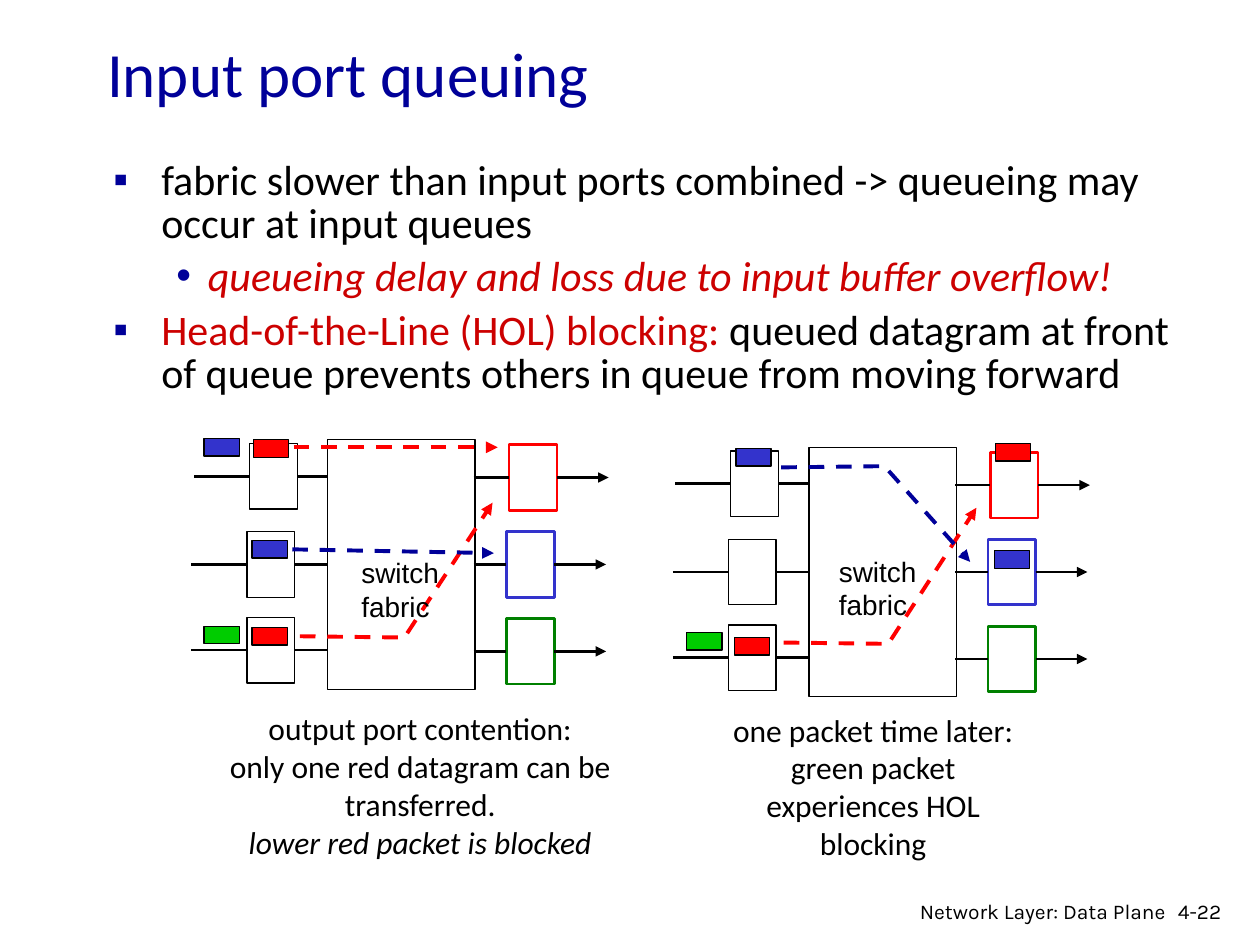
import dataclasses

import lxml.etree
import pptx
import pptx.dml.color
import pptx.enum.dml
import pptx.enum.shapes
import pptx.enum.text
import pptx.oxml.ns
import pptx.util

ALIGN = pptx.enum.text.PP_ALIGN
KIND = pptx.enum.shapes.MSO_SHAPE
SIDE_LEFT, SIDE_RIGHT = 1, 3
SCALE = 9144  # EMU in one px, 100 px to the inch


@dataclasses.dataclass(frozen=True)
class Theme:
    black: str = "000000"
    white: str = "FFFFFF"
    navy: str = "000099"
    alert: str = "CC0000"
    red: str = "FF0000"
    blue: str = "3333CC"
    green: str = "00CC00"
    dark_green: str = "008000"
    main: str = "Calibri"
    label: str = "Arial"
    foot: str = "Karla"
    title_size: int = 36
    body_size: int = 24
    note_size: int = 18
    label_size: int = 16
    foot_size: int = 12
    thin: float = 0.75
    wire: float = 1.5
    flow: float = 2.25


THEME = Theme()


def px(*values):
    return [pptx.util.Emu(value * SCALE) for value in values]


def rgb(code):
    return pptx.dml.color.RGBColor.from_string(code)


def add_tag(parent, name, **values):
    return lxml.etree.SubElement(parent, pptx.oxml.ns.qn(name), **values)


def write(para, text, size, font=THEME.main, color=THEME.black, italic=False):
    for count, line in enumerate(text.split("\n")):
        if count:
            para.add_line_break()
        run = para.add_run()
        run.text = line
        run.font.size = pptx.util.Pt(size)
        run.font.name = font
        run.font.color.rgb = rgb(color)
        run.font.italic = italic


def add_text(shapes, box, paras, align=ALIGN.LEFT, **style):
    """Each paragraph is a list of (text, italic) runs."""
    frame = shapes.add_textbox(*px(*box)).text_frame
    frame.word_wrap = True
    for count, runs in enumerate(paras):
        para = frame.add_paragraph() if count else frame.paragraphs[0]
        para.alignment = align
        for text, italic in runs:
            write(para, text, italic=italic, **style)


def add_rect(shapes, box, fill, edge=THEME.black, width=THEME.thin):
    rect = shapes.add_shape(KIND.RECTANGLE, *px(*box))
    rect.shadow.inherit = False
    rect.fill.solid()
    rect.fill.fore_color.rgb = rgb(fill)
    rect.line.color.rgb = rgb(edge)
    rect.line.width = pptx.util.Pt(width)
    return rect


def draw_line(shapes, points, color=THEME.black, width=THEME.wire,
              dash=False, arrow=False):
    """Two points give a connector, more give an open outline."""
    if len(points) == 2:
        shape = shapes.add_connector(
            pptx.enum.shapes.MSO_CONNECTOR.STRAIGHT, *px(*points[0], *points[1]))
    else:
        first, *rest = [px(*point) for point in points]
        pen = shapes.build_freeform(*first)
        pen.add_line_segments(rest, close=False)
        shape = pen.convert_to_shape()
        shape.fill.background()
    shape.line.color.rgb = rgb(color)
    shape.line.width = pptx.util.Pt(width)
    if dash:
        shape.line.dash_style = pptx.enum.dml.MSO_LINE.DASH
    if arrow:
        add_tag(shape.line._get_or_add_ln(), "a:tailEnd", type="triangle")
    add_tag(shape._element.spPr, "a:effectLst")
    return shape


def add_port(shapes, left, top, shift, down, edge):
    """Draw one row: wire, input buffer, fabric links, output buffer, arrow."""
    wide, high = 38, 52
    x_in, x_out = left + 44 + shift, left + 250 + shift
    y_out = top + down
    mid_in, mid_out = top + high // 2, y_out + high // 2
    source = add_rect(shapes, (x_in, top, wide, high), THEME.white)
    target = add_rect(shapes, (x_out, y_out, wide, high), THEME.white,
                      edge, THEME.wire)
    wire = draw_line(shapes, [(left + shift, mid_in), (x_in, mid_in)])
    wire.end_connect(source, SIDE_LEFT)
    wire = draw_line(shapes, [(x_in + wide, mid_in), (left + 108, mid_in)])
    wire.begin_connect(source, SIDE_RIGHT)
    wire = draw_line(shapes, [(left + 224, mid_out), (x_out, mid_out)])
    wire.end_connect(target, SIDE_LEFT)
    wire = draw_line(shapes, [(x_out + wide, mid_out),
                              (left + 329 + shift, mid_out)], arrow=True)
    wire.begin_connect(target, SIDE_RIGHT)


def add_switch(slide, left, top, packets, flows, label, note, note_paras):
    """Draw a switch at left, top; all parts are offsets from that corner."""
    shapes = slide.shapes.add_group_shape().shapes
    add_rect(shapes, (left + 108, top, 117, 198), THEME.white)
    for y, shift, down, edge in ((3, 2, 1, THEME.red), (73, 0, 0, THEME.blue),
                                 (141, 0, 1, THEME.dark_green)):
        add_port(shapes, left, top + y, shift, down, edge)
    for x, y, color in packets:
        add_rect(shapes, (left + x, top + y, 28, 14), color)
    for color, points in flows:
        draw_line(shapes, [(left + x, top + y) for x, y in points], color,
                  THEME.flow, dash=True, arrow=True)
    add_text(shapes, (left + label[0], top + label[1], 96, 64),
             [[("switch", False)], [("fabric", False)]],
             size=THEME.label_size, font=THEME.label)
    x, y, wide = note
    add_text(shapes, (left + x, top + y, wide, 130), note_paras,
             align=ALIGN.CENTER, size=THEME.note_size)


def place(holder, box):
    holder.left, holder.top, holder.width, holder.height = px(*box)
    holder.text_frame.auto_size = pptx.enum.text.MSO_AUTO_SIZE.NONE
    return holder.text_frame


def fill_title(holder, box, text):
    frame = place(holder, box)
    frame.vertical_anchor = pptx.enum.text.MSO_ANCHOR.MIDDLE
    para = frame.paragraphs[0]
    para.alignment = ALIGN.LEFT
    write(para, text, THEME.title_size, color=THEME.navy)


def fill_list(holder, box, items):
    frame = place(holder, box)
    for count, (level, runs) in enumerate(items):
        para = frame.add_paragraph() if count else frame.paragraphs[0]
        para.level = level
        para.line_spacing = 0.85
        para.space_before = pptx.util.Pt(6 if count else 0)
        margin, hang, mark = ((38, 38, "▪"), (75, 25, "•"))[level]
        props = para._p.get_or_add_pPr()
        props.set("marL", str(margin * SCALE))
        props.set("indent", str(-hang * SCALE))
        add_tag(add_tag(props, "a:buClr"), "a:srgbClr", val=THEME.navy)
        add_tag(props, "a:buFont", typeface=THEME.label)
        add_tag(props, "a:buChar", char=mark)
        for text, color, italic in runs:
            write(para, text, THEME.body_size, color=color, italic=italic)


def add_foot(shapes, left, top):
    style = {"size": THEME.foot_size, "font": THEME.foot}
    add_text(shapes, (left, top, 238, 26),
             [[("Network Layer: Data Plane", False)]], ALIGN.RIGHT, **style)
    add_text(shapes, (left + 228, top, 61, 30), [[("4-22", False)]], **style)


def main():
    deck = pptx.Presentation()
    deck.slide_width, deck.slide_height = px(1000, 750)
    slide = deck.slides.add_slide(deck.slide_layouts[1])
    red, blue, green, navy = THEME.red, THEME.blue, THEME.green, THEME.navy
    fill_title(slide.shapes.title, (75, 32, 850, 50), "Input port queuing")
    fill_list(slide.placeholders[1], (80, 123, 886, 290), [
        (0, [("fabric slower than input ports combined -> queueing may occur "
              "at input queues", THEME.black, False)]),
        (1, [("queueing delay and loss due to input buffer overflow!",
              THEME.alert, True)]),
        (0, [("Head-of-the-Line (HOL) blocking:", THEME.alert, False),
             (" queued datagram at front of queue prevents others in queue "
              "from moving forward", THEME.black, False)])])
    add_switch(
        slide, 152, 349,
        [(49, 0, red), (48, 80, blue), (48, 149, red), (10, -1, blue),
         (10, 148, green)],
        [(red, [(81, 6), (243, 6)]), (red, [(86, 156), (169, 157), (239, 50)]),
         (navy, [(80, 87), (240, 90)])],
        (125, 87), (-4, 209, 371),
        [[("output port contention:", False)],
         [("only one red datagram can be transferred.\n", False),
          ("lower red packet is blocked", True)]])
    add_switch(
        slide, 534, 355,
        [(256, -3, red), (50, 1, blue), (49, 151, red), (11, 147, green),
         (255, 82, blue)],
        [(red, [(88, 155), (171, 156), (241, 48)]),
         (navy, [(86, 16), (168, 15), (236, 91)])],
        (122, 80), (37, 204, 244),
        [[("one packet time later: green packet experiences HOL blocking",
           False)]])
    add_foot(slide.shapes, 697, 708)
    deck.save("out.pptx")


if __name__ == "__main__":
    main()
